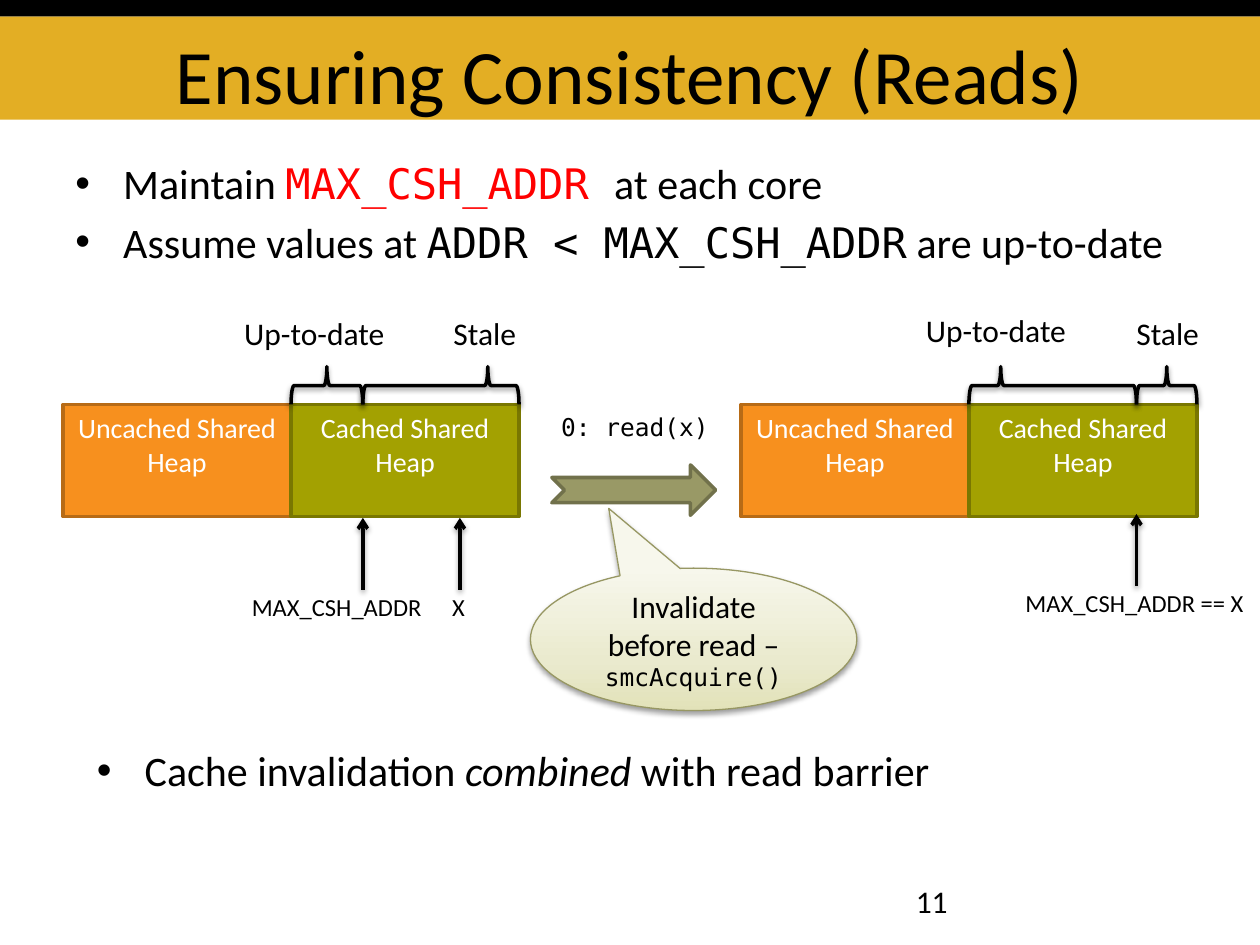
"""Build the slide on ensuring read consistency in a shared heap."""
from lxml.etree import SubElement
from pptx import Presentation
from pptx.dml.color import RGBColor
from pptx.enum.shapes import MSO_CONNECTOR, MSO_SHAPE
from pptx.enum.text import MSO_ANCHOR, PP_ALIGN
from pptx.oxml.ns import qn
from pptx.util import Inches, Pt

THEME = {
    "sans": "Calibri", "mono": "DejaVu Sans Mono",
    "title": 44, "body": 24, "label": 18, "heap": 16, "small": 14,
    "black": "000000", "white": "FFFFFF", "red": "FF0000", "gold": "E3AE24",
    "uncached": ("F7901E", "B76B16"), "cached": ("A3A101", "797701"),
    "arrow": ("999966", "71714B"), "callout_line": "979763",
    "callout_stops": [(0, "E2E2B9"), (35, "EAEACE"), (100, "F7F7EC")],
}
MONO = {"font": "mono"}
BANDS = [((0, 0.13, 10, 0.82), "gold"), ((0, 0, 10, 0.13), "black")]
BULLETS = [
    ((0.5, 1.2, 9, 1.1), [
        [("Maintain ", {}), ("MAX_CSH_ADDR ", {"font": "mono", "color": "red"}), ("at each core", {})],
        [("Assume values at ", {}), ("ADDR < MAX_CSH_ADDR", MONO), (" are up-to-date", {})],
    ]),
    ((0.67, 5.86, 9, 1.1), [
        [("Cache invalidation ", {}), ("combined", {"italic": True}), (" with read barrier", {})],
    ]),
]
CELLS = [("Uncached Shared Heap", "uncached"), ("Cached Shared Heap", "cached")]
CELL_WIDTH, CELL_TOP, CELL_HEIGHT = 1.81, 3.21, 0.89
BRACE_DEPTH, BRACE_MIDDLE = 0.3, 3.06
STATES = [
    {"left": 0.5, "split": 2.88, "tips": (0.5, 0.8), "pointer_top": 4.11,
     "pointers": [(2.88, "MAX_CSH_ADDR", 1.9, 1.56), (3.65, "X", 3.49, 0.33)],
     "labels": [("Up-to-date", (1.84, 2.44, 1.33, 0.4)), ("Stale", (3.5, 2.44, 0.71, 0.4))]},
    {"left": 5.88, "split": 9.02, "tips": (0.19, 0.5), "pointer_top": 4.08,
     "pointers": [(9.02, "MAX_CSH_ADDR == X", 8.04, 1.97)],
     "labels": [("Up-to-date", (7.25, 2.42, 1.33, 0.4)), ("Stale", (8.92, 2.44, 0.71, 0.4))]},
]
CALLOUT = [("Invalidate before read – ", {}), ("smcAcquire()", {"font": "mono", "size": "small"})]


def apply(target, **values):
    for name, value in values.items():
        setattr(target, name, value)


def add_xml(parent, tag, **attributes):
    return SubElement(parent, qn(tag), {name: str(value) for name, value in attributes.items()})


def write(box, paragraphs, size, color="black", align=PP_ALIGN.LEFT, bullets=False, **frame_format):
    frame = box.text_frame
    apply(frame, **{"word_wrap": True, "vertical_anchor": MSO_ANCHOR.TOP, **frame_format})
    for index, spans in enumerate(paragraphs):
        para = frame.paragraphs[0] if index == 0 else frame.add_paragraph()
        para.alignment = align
        if index:
            para.space_before = Pt(0.2 * THEME[size])
        if bullets:
            properties = para._p.get_or_add_pPr()
            properties.set("marL", str(Inches(0.38)))
            properties.set("indent", str(Inches(-0.38)))
            add_xml(properties, "a:buFont", typeface="Arial")
            add_xml(properties, "a:buChar", char="•")
        for text, style in spans:
            span = para.add_run()
            span.text = text
            apply(span.font, name=THEME[style.get("font", "sans")],
                  size=Pt(THEME[style.get("size", size)]), italic=style.get("italic"))
            span.font.color.rgb = RGBColor.from_string(THEME[style.get("color", color)])


def add_text(page, place, paragraphs, size, **options):
    box = page.shapes.add_textbox(*map(Inches, place))
    write(box, paragraphs, size, **options)


def add_shape(page, kind, place, fill=None, line=None, width=2):
    shape = page.shapes.add_shape(kind, *map(Inches, place))
    shape.shadow.inherit = False
    if fill:
        shape.fill.solid()
        shape.fill.fore_color.rgb = RGBColor.from_string(fill)
    else:
        shape.fill.background()
    if line:
        shape.line.color.rgb = RGBColor.from_string(line)
        shape.line.width = Pt(width)
    else:
        shape.line.fill.background()
    return shape


def add_shadow(shape):
    properties = shape._element.spPr
    effects = properties.find(qn("a:effectLst"))
    if effects is None:
        effects = add_xml(properties, "a:effectLst")
    shadow = add_xml(effects, "a:outerShdw", blurRad=Pt(3.1), dist=Pt(1.6), dir=5400000, rotWithShape=0)
    color = add_xml(shadow, "a:srgbClr", val=THEME["black"])
    add_xml(color, "a:alpha", val=38000)


def add_brace(page, start, end, tip):
    span = end - start
    place = ((start + end - BRACE_DEPTH) / 2, BRACE_MIDDLE - span / 2, BRACE_DEPTH, span)
    brace = add_shape(page, MSO_SHAPE.RIGHT_BRACE, place, line=THEME["black"])
    brace.rotation = 270
    brace.adjustments[1] = tip
    add_shadow(brace)


def add_pointer(page, x, top):
    ends = map(Inches, (x, top + 0.57, x, top))
    pointer = page.shapes.add_connector(MSO_CONNECTOR.STRAIGHT, *ends)
    pointer.line.color.rgb = RGBColor.from_string(THEME["black"])
    pointer.line.width = Pt(2)
    add_xml(pointer.line._get_or_add_ln(), "a:tailEnd", type="arrow")
    add_shadow(pointer)


def add_state(page, state):
    for column, (text, role) in enumerate(CELLS):
        place = (state["left"] + column * CELL_WIDTH, CELL_TOP, CELL_WIDTH, CELL_HEIGHT)
        cell = add_shape(page, MSO_SHAPE.RECTANGLE, place, *THEME[role])
        write(cell, [[(text, {})]], "heap", color="white", align=PP_ALIGN.CENTER)
    top = state["pointer_top"]
    for x, text, left, width in state["pointers"]:
        add_pointer(page, x, top)
        add_text(page, (left, top + 0.54, width, 0.34), [[(text, {})]], "small", word_wrap=False)
    edges = (state["left"] + CELL_WIDTH, state["split"], state["left"] + 2 * CELL_WIDTH)
    for start, end, tip in zip(edges, edges[1:], state["tips"]):
        add_brace(page, start, end, tip)
    for text, place in state["labels"]:
        add_text(page, place, [[(text, {})]], "label", word_wrap=False)


def add_callout(page):
    callout = add_shape(page, MSO_SHAPE.OVAL_CALLOUT, (4.21, 4.51, 2.59, 1.13),
                        line=THEME["callout_line"], width=0.75)
    callout.adjustments[0], callout.adjustments[1] = -0.26, -0.92
    callout.fill.gradient()
    gradient = callout._element.spPr.find(qn("a:gradFill"))
    for child in list(gradient):
        gradient.remove(child)
    stops = add_xml(gradient, "a:gsLst")
    for position, color in THEME["callout_stops"]:
        stop = add_xml(stops, "a:gs", pos=position * 1000)
        add_xml(stop, "a:srgbClr", val=color)
    add_xml(gradient, "a:lin", ang=270 * 60000, scaled=0)
    add_shadow(callout)
    write(callout, [CALLOUT], "label", align=PP_ALIGN.CENTER, vertical_anchor=MSO_ANCHOR.MIDDLE)


def main():
    deck = Presentation()
    apply(deck, slide_width=Inches(10), slide_height=Inches(7.5))
    page = deck.slides.add_slide(deck.slide_layouts[6])
    for place, color in BANDS:
        add_shape(page, MSO_SHAPE.RECTANGLE, place, THEME[color])
    add_text(page, (0.5, 0.13, 9, 0.82), [[("Ensuring Consistency (Reads)", {})]], "title",
             align=PP_ALIGN.CENTER, vertical_anchor=MSO_ANCHOR.BOTTOM, margin_bottom=0)
    add_text(page, (7.17, 6.95, 2.33, 0.4), [[("11", {})]], "label")
    for state in STATES:
        add_state(page, state)
    add_text(page, (4.12, 3.22, 2.22, 0.34), [[("  0: read(x)", MONO)]], "small")
    add_shape(page, MSO_SHAPE.NOTCHED_RIGHT_ARROW, (4.38, 3.69, 1.3, 0.4), *THEME["arrow"])
    add_callout(page)
    for place, paragraphs in BULLETS:
        add_text(page, place, paragraphs, "body", bullets=True)
    deck.save("out.pptx")


if __name__ == "__main__":
    main()
